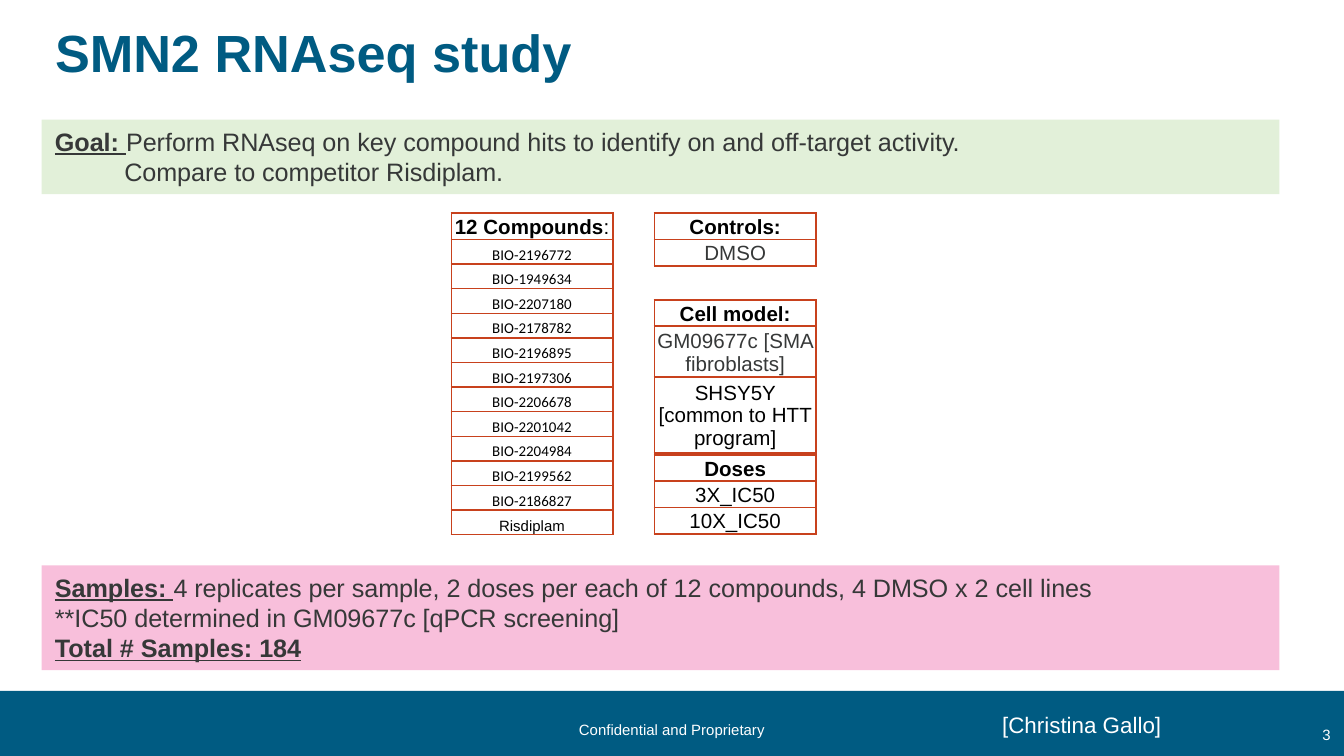
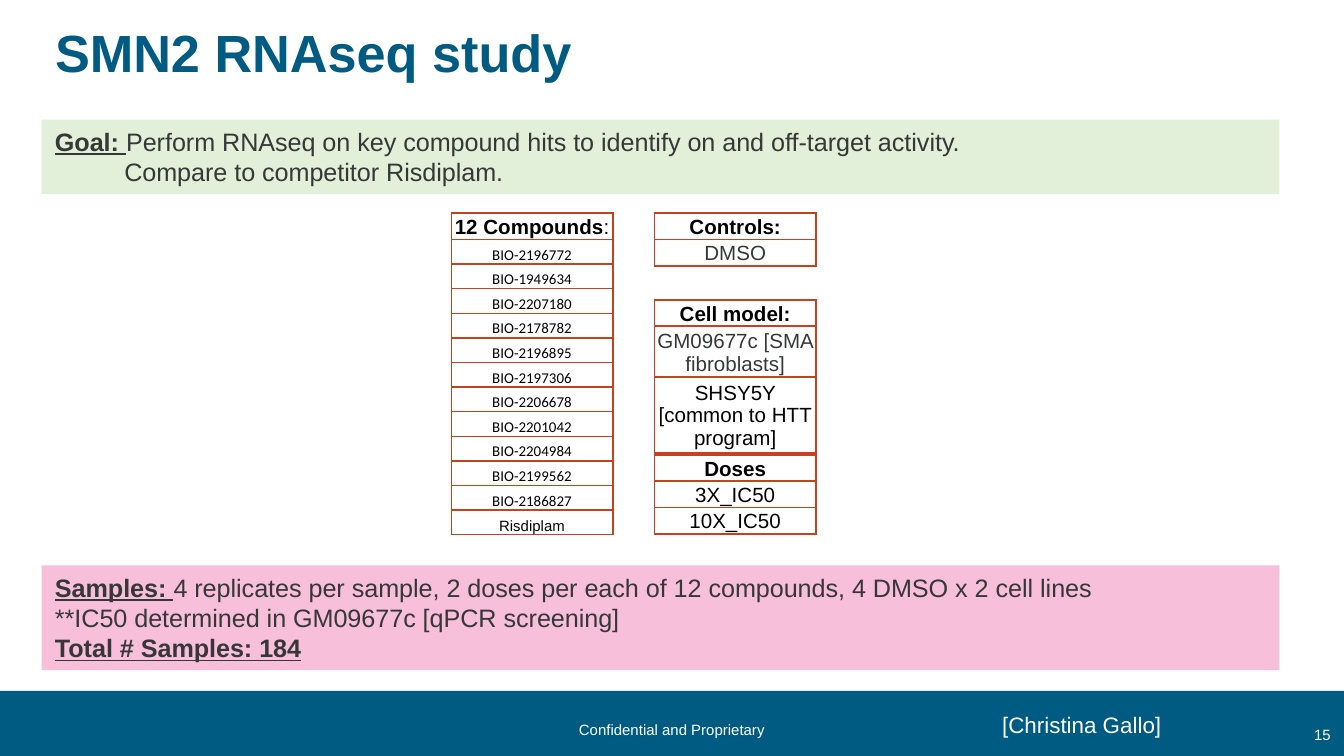
from lxml.etree import SubElement
from pptx import Presentation
from pptx.dml.color import RGBColor
from pptx.enum.shapes import MSO_SHAPE
from pptx.enum.text import MSO_ANCHOR, MSO_AUTO_SIZE, PP_ALIGN
from pptx.oxml.ns import qn
from pptx.util import Cm, Pt

# Content
PAGES = ["3", "15"]
TITLE = "SMN2 RNAseq study"
NOTICE = "Confidential and Proprietary"
AUTHOR = "[Christina Gallo]"

# Each line of a box: indent in cm, strong text, normal text
GOAL = [
    (0, "Goal: ", "Perform RNAseq on key compound hits to identify "
                  "on and off-target activity."),
    (1.31, "", "Compare to competitor Risdiplam."),
]
SAMPLES = [
    (0, "Samples: ", "4 replicates per sample, 2 doses per each of 12 compounds, "
                     "4 DMSO x 2 cell lines"),
    (0, "", "**IC50 determined in GM09677c [qPCR screening]"),
    (0, "Total # Samples: 184", ""),
]
CODES = ["BIO-2196772", "BIO-1949634", "BIO-2207180", "BIO-2178782",
         "BIO-2196895", "BIO-2197306", "BIO-2206678", "BIO-2201042",
         "BIO-2204984", "BIO-2199562", "BIO-2186827"]

COLORS = {"blue": "005B82", "green": "E2F0D9", "pink": "F8BFDB", "rust": "C8411D",
          "text": "363838", "black": "000000", "white": "FFFFFF"}

# Cell styles: size, font, colour, anchor
STYLES = {
    "plain": (11, "Arial", "black", MSO_ANCHOR.MIDDLE),
    "grey": (11, "Arial", "text", MSO_ANCHOR.MIDDLE),
    "code": (8, "Calibri", "black", MSO_ANCHOR.BOTTOM),
    "drug": (8, "Arial", "black", MSO_ANCHOR.BOTTOM),
}

# Tables: left, top, bold head, rest of head, rows of (text, style, height)
ROW, SLIM, WIDE = 0.49, 0.465, 3.05
LEFT, RIGHT = 8.53, 12.37
TABLES = [
    (LEFT, 4.03, "12 Compounds", ":",
     [(code, "code", SLIM) for code in CODES] + [("Risdiplam", "drug", SLIM)]),
    (RIGHT, 4.03, "Controls:", "", [("DMSO", "grey", ROW)]),
    (RIGHT, 5.67, "Cell model:", "",
     [("GM09677c [SMA fibroblasts]", "grey", 0.95),
      ("SHSY5Y [common to HTT program]", "plain", 1.41)]),
    (RIGHT, 8.6, "Doses", "",
     [("3X_IC50", "plain", ROW), ("10X_IC50", "plain", ROW)]),
]

# Page frame
PAGE_W, PAGE_H = 25.4, 14.29
EDGE, BOX_W = 0.79, 23.39
BAND_TOP = 13.06


def paint(color):
    return RGBColor.from_string(COLORS[color])


def style(para, size, color, font="Arial", align=PP_ALIGN.LEFT):
    para.alignment = align
    para.font.size = Pt(size)
    para.font.name = font
    para.font.color.rgb = paint(color)


def split(para, strong, rest, line=False):
    """Add a bold run, underlined on request, and then a normal run."""
    if strong:
        run = para.add_run()
        run.text = strong
        run.font.bold = True
        if line:
            run.font.underline = True
    if rest:
        para.add_run().text = rest


def add_rect(slide, left, top, wide, high, color):
    rect = slide.shapes.add_shape(MSO_SHAPE.RECTANGLE,
                                  Cm(left), Cm(top), Cm(wide), Cm(high))
    rect.shadow.inherit = False
    rect.fill.solid()
    rect.fill.fore_color.rgb = paint(color)
    rect.line.fill.background()
    return rect


def add_box(slide, top, high, color, lines):
    frame = add_rect(slide, EDGE, top, BOX_W, high, color).text_frame
    frame.word_wrap = True
    frame.vertical_anchor = MSO_ANCHOR.TOP
    for num, (indent, strong, rest) in enumerate(lines):
        para = frame.add_paragraph() if num else frame.paragraphs[0]
        if indent:
            para._p.get_or_add_pPr().set("marL", str(Cm(indent)))
        split(para, strong, rest, line=True)
        style(para, 13.5, "text")


def add_label(slide, spot, text, size, align, anchor=MSO_ANCHOR.TOP, wrap=True):
    frame = slide.shapes.add_textbox(*map(Cm, spot)).text_frame
    frame.word_wrap = wrap
    frame.vertical_anchor = anchor
    para = frame.paragraphs[0]
    para.text = text
    style(para, size, "white", align=align)


def add_edges(cell):
    props = cell._tc.get_or_add_tcPr()
    for num, side in enumerate(("lnL", "lnR", "lnT", "lnB")):
        line = props.makeelement(qn("a:" + side), {"w": str(Pt(1))})
        fill = SubElement(line, qn("a:solidFill"))
        SubElement(fill, qn("a:srgbClr"), val=COLORS["rust"])
        props.insert(num, line)


def add_grid(slide, left, top, head, tail, rows):
    rows = [(None, "plain", ROW)] + rows
    high = sum(row[2] for row in rows)
    grid = slide.shapes.add_table(len(rows), 1, Cm(left), Cm(top),
                                  Cm(WIDE), Cm(high)).table
    grid.first_row = grid.horz_banding = False
    for num, (text, kind, tall) in enumerate(rows):
        grid.rows[num].height = Cm(tall)
        cell = grid.cell(num, 0)
        cell.margin_left = cell.margin_right = cell.margin_top = Cm(0.03)
        cell.margin_bottom = 0
        cell.fill.solid()
        cell.fill.fore_color.rgb = paint("white")
        add_edges(cell)
        size, font, color, cell.vertical_anchor = STYLES[kind]
        para = cell.text_frame.paragraphs[0]
        if text is None:
            split(para, head, tail)
        else:
            para.text = text
        style(para, size, color, font, PP_ALIGN.CENTER)


def add_title(slide):
    title = slide.shapes.title
    title.left, title.top, title.width, title.height = map(Cm, (EDGE, 0.43, 23.8, 1.42))
    frame = title.text_frame
    frame.auto_size = MSO_AUTO_SIZE.NONE
    frame.vertical_anchor = MSO_ANCHOR.TOP
    frame.margin_left, frame.margin_right = Cm(0.25), 0
    frame.margin_top = frame.margin_bottom = Cm(0.13)
    para = frame.paragraphs[0]
    para.text = TITLE
    para.line_spacing = 0.85
    style(para, 28, "blue")
    para.font.bold = True


def add_footer(slide, page):
    add_rect(slide, 0, BAND_TOP, PAGE_W, PAGE_H - BAND_TOP, "blue")
    add_label(slide, (10.67, 13.49, 4.06, 0.61), NOTICE, 8,
              PP_ALIGN.CENTER, MSO_ANCHOR.MIDDLE, wrap=False)
    add_label(slide, (24.49, 13.56, 0.91, 0.61), page, 8,
              PP_ALIGN.RIGHT, MSO_ANCHOR.BOTTOM)
    add_label(slide, (17.53, 13.31, 4.67, 0.76), AUTHOR, 12, PP_ALIGN.RIGHT)


def main():
    deck = Presentation()
    deck.slide_width, deck.slide_height = Cm(PAGE_W), Cm(PAGE_H)
    for page in PAGES:
        slide = deck.slides.add_slide(deck.slide_layouts[5])
        add_title(slide)
        add_footer(slide, page)
        add_box(slide, 2.26, 1.41, "green", GOAL)
        for table in TABLES:
            add_grid(slide, *table)
        add_box(slide, 10.69, 1.98, "pink", SAMPLES)
    deck.save("out.pptx")


if __name__ == "__main__":
    main()
